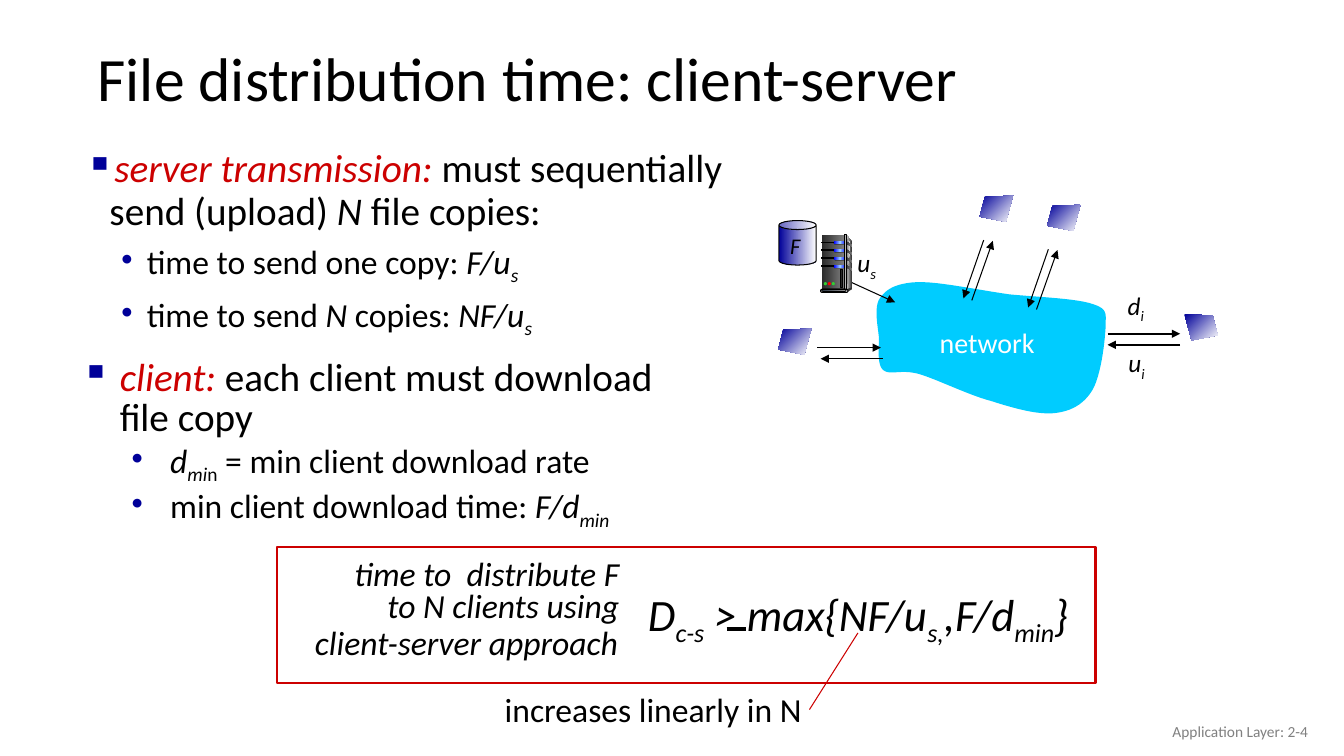
"""Build the slide on file distribution time in the client-server model."""
from dataclasses import dataclass

from lxml import etree
from pptx import Presentation
from pptx.dml.color import RGBColor
from pptx.enum.shapes import MSO_CONNECTOR, MSO_SHAPE
from pptx.enum.text import MSO_ANCHOR, MSO_AUTO_SIZE, PP_ALIGN
from pptx.oxml.ns import qn
from pptx.util import Cm, Pt

BLACK, RED, NAVY = "000000", "CC0000", "000099"
STEEL = ("292929", "808080")
TILE = [(0.84, 0), (0.13, 0.03), (0, 0.53), (0.66, 0.66)]
CLOUD = [
    (4.31, 2.31), (3.76, 2.34), (3.53, 2.49), (3.37, 2.72), (3.22, 2.95), (3.32, 3.4), (3.35, 3.71),
    (3.35, 3.99), (3.3, 4.37), (3.45, 4.52), (3.63, 4.67), (3.88, 4.5), (4.34, 4.62),
    (4.8, 4.75), (5.61, 5.16), (6.19, 5.31), (6.75, 5.49), (7.36, 5.66), (7.79, 5.61),
    (8.2, 5.56), (8.51, 5.39), (8.73, 5.03), (8.94, 4.67), (9.04, 3.86), (9.06, 3.48),
    (9.06, 3.12), (9.14, 3), (8.76, 2.87), (8.35, 2.72), (7.39, 2.69), (6.65, 2.62),
    (5.91, 2.52), (4.85, 2.29), (4.31, 2.31),
]


@dataclass
class Box:
    """An area of the slide in centimetres."""
    left: float
    top: float
    width: float
    height: float

    def area(self, left, top, width, height):
        """Return a box placed relative to this one."""
        return Box(self.left + left, self.top + top, width, height)

    def lengths(self):
        """Return the position and size as lengths."""
        return Cm(self.left), Cm(self.top), Cm(self.width), Cm(self.height)


def color(value):
    """Turn a hex string into a colour."""
    return RGBColor.from_string(value)


def paint(shape, fill=None, line=None, width=0.75, angle=0):
    """Give a shape a solid, gradient or empty fill and an optional outline."""
    shape.shadow.inherit = False
    if fill is None:
        shape.fill.background()
    elif isinstance(fill, str):
        shape.fill.solid()
        shape.fill.fore_color.rgb = color(fill)
    else:
        shape.fill.gradient()
        shape.fill.gradient_angle = 0
        gradient = shape._element.spPr.find(qn("a:gradFill"))
        stops = gradient.find(qn("a:gsLst"))
        for stop in list(stops):
            stops.remove(stop)
        for index, value in enumerate(fill):
            position = round(100000 * index / (len(fill) - 1))
            stop = etree.SubElement(stops, qn("a:gs"), pos=str(position))
            etree.SubElement(stop, qn("a:srgbClr"), val=value)
        gradient.find(qn("a:lin")).set("ang", str(angle * 60000))
    if line:
        shape.line.color.rgb = color(line)
        shape.line.width = Pt(width)
    else:
        shape.line.fill.background()


def add_preset(slide, kind, box, fill=None, line=None, width=0.75, adjustment=None):
    """Add a painted preset shape."""
    shape = slide.shapes.add_shape(kind, *box.lengths())
    if adjustment is not None:
        shape.adjustments[0] = adjustment
    paint(shape, fill, line, width)


def add_outline(slide, box, points, fill, angle=0):
    """Add a closed outline whose points are relative to the box."""
    corners = [(Cm(box.left + x), Cm(box.top + y)) for x, y in points]
    builder = slide.shapes.build_freeform(*corners[0])
    builder.add_line_segments(corners[1:], close=True)
    paint(builder.convert_to_shape(), fill, angle=angle)


def add_line(slide, box, start, end, line=BLACK, width=0.75, arrow=False):
    """Add a line between two points relative to the box."""
    ends = [Cm(length) for x, y in (start, end) for length in (box.left + x, box.top + y)]
    connector = slide.shapes.add_connector(MSO_CONNECTOR.STRAIGHT, *ends)
    connector.line.color.rgb = color(line)
    connector.line.width = Pt(width)
    if arrow:
        etree.SubElement(connector.line._get_or_add_ln(), qn("a:tailEnd"), type="triangle")
    etree.SubElement(connector._element.spPr, qn("a:effectLst"))


def add_runs(paragraph, runs, size, fill=BLACK):
    """Fill a paragraph; styles are i italic, s subscript, r red, + larger."""
    for text, style in runs:
        run = paragraph.add_run()
        run.text = text
        run.font.name = "Calibri"
        run.font.size = Pt(size + 4 if "+" in style else size)
        run.font.italic = "i" in style
        run.font.color.rgb = color(RED if "r" in style else fill)
        if "s" in style:
            run._r.get_or_add_rPr().set("baseline", "-25000")


def add_text(slide, box, lines, size, fill=BLACK, align=PP_ALIGN.LEFT, spacing=None, wrap=True, middle=False):
    """Add a text box with one paragraph per list of runs."""
    frame = slide.shapes.add_textbox(*box.lengths()).text_frame
    frame.word_wrap = wrap
    frame.auto_size = MSO_AUTO_SIZE.NONE if wrap else MSO_AUTO_SIZE.SHAPE_TO_FIT_TEXT
    frame.vertical_anchor = MSO_ANCHOR.MIDDLE if middle else MSO_ANCHOR.TOP
    for index, runs in enumerate(lines):
        paragraph = frame.paragraphs[0] if index == 0 else frame.add_paragraph()
        paragraph.alignment = align
        if spacing:
            paragraph.line_spacing = spacing
        add_runs(paragraph, runs, size, fill)
    return frame


def add_bullets(slide, box, lines, indents, spacings, space_before):
    """Add one main bullet followed by its second-level bullets."""
    frame = add_text(slide, box, [], 28)
    for index, runs in enumerate(lines):
        level = min(index, 1)
        paragraph = frame.add_paragraph() if level else frame.paragraphs[0]
        paragraph.level = level
        paragraph.line_spacing = spacings[level]
        if level:
            paragraph.space_before = Pt(space_before)
        margin, hanging = indents[level]
        properties = paragraph._p.get_or_add_pPr()
        properties.set("marL", str(Cm(margin)))
        properties.set("indent", str(-Cm(hanging)))
        bullet_color = etree.SubElement(properties, qn("a:buClr"))
        etree.SubElement(bullet_color, qn("a:srgbClr"), val=NAVY)
        etree.SubElement(properties, qn("a:buChar"), char="▪•"[level])
        add_runs(paragraph, runs, (28, 24)[level])


def add_server(slide, box):
    """Draw the server tower."""
    add_outline(slide, box, [(0.66, 0), (0.79, 0.18), (0.79, 1.32), (0.64, 1.37)], ("DDDDDD", "333333"))
    add_preset(slide, MSO_SHAPE.RECTANGLE, box.area(0.03, 0, 0.58, 1.37), STEEL)
    add_outline(slide, box, [(0.66, 0.1), (0.76, 0.2), (0.69, 0.75), (0.66, 1.35)], ("808080", "F8F8F8"))
    pill = MSO_SHAPE.ROUNDED_RECTANGLE
    for slot in range(4):
        top = 0.16 + 0.2 * slot
        add_preset(slide, MSO_SHAPE.RECTANGLE, box.area(0.03, top + 0.02, 0.33, 0.02), BLACK, BLACK)
        add_preset(slide, pill, box.area(0.33, top, 0.33, 0.08), BLACK, adjustment=0.5)
        add_preset(slide, pill, box.area(0.34, top, 0.3, 0.07), ("0000FF", "99CCFF", "0000FF"), adjustment=0.5)
        vent = [(0.64, top), (0.79, top + 0.09), (0.79, top + 0.14), (0.64, top + 0.05)]
        add_outline(slide, box, vent, STEEL)
    add_preset(slide, MSO_SHAPE.RECTANGLE, box.area(0.61, 0, 0.05, 1.37), ("333333", "DDDDDD", "333333"), BLACK)
    add_outline(slide, box, [(0.66, 1.37), (0.66, 1.45), (0.79, 1.37), (0.79, 1.32)], "333333")
    add_preset(slide, pill, box.area(0, 1.37, 0.69, 0.08), "DDDDDD", BLACK, adjustment=0.5)
    add_preset(slide, pill, box.area(0.03, 1.37, 0.61, 0.05), ("44546A", "E7E6E6"), BLACK, adjustment=0.5)
    for index, lamp in enumerate(("33CC33", "FF0000", "33CC33")):
        add_preset(slide, MSO_SHAPE.OVAL, box.area(0.08 + 0.1 * index, 1.19, 0.08, 0.08), lamp)
    add_preset(slide, MSO_SHAPE.RECTANGLE, box.area(0.51, 0.86, 0.05, 0.46), "292929", BLACK)


def curve_points(controls, steps=12):
    """Return points along a chain of cubic curves."""
    points = [controls[0]]
    for first in range(0, len(controls) - 1, 3):
        for t in (step / steps for step in range(1, steps + 1)):
            weights = ((1 - t) ** 3, 3 * t * (1 - t) ** 2, 3 * t * t * (1 - t), t ** 3)
            curve = controls[first:first + 4]
            points.append(tuple(sum(w * p[axis] for w, p in zip(weights, curve)) for axis in (0, 1)))
    return points


def add_network(slide, box):
    """Draw the network cloud with its server, clients and links."""
    add_outline(slide, box, curve_points(CLOUD), "00CCFF")
    links = [((2.49, 2.24), (3.76, 2.82), 0.75), ((1.8, 3.96), (3.4, 3.96), 0.75),
             ((3.45, 4.24), (1.88, 4.24), 0.75), ((9.11, 3.61), (10.94, 3.61), 1.5),
             ((10.94, 3.89), (9.11, 3.89), 1.5)]
    for x, y in ((0, 0), (1.63, 0.23)):
        links.append(((5.99 + x, 1.25 + y), (5.48 + x, 2.72 + y), 0.75))
        links.append(((5.69 + x, 2.77 + y), (6.22 + x, 1.27 + y), 0.75))
    for start, end, width in links:
        add_line(slide, box, start, end, width=width, arrow=True)
    add_preset(slide, MSO_SHAPE.CAN, box.area(0.83, 0.76, 0.94, 1.12), (NAVY, "FFFFFF"), BLACK, adjustment=0.24)
    center = PP_ALIGN.CENTER
    add_text(slide, box.area(0.15, 0.92, 2.18, 0.94), [[("F", "i")]], 16, align=center)
    add_text(slide, box.area(4.62, 3.28, 2.92, 1.12), [[("network", "")]], 20, "FFFFFF", center, wrap=False)
    for name, index, left, top in (("u", "s", 2.56, 1.32), ("d", "i", 9.37, 2.39), ("u", "i", 9.39, 3.84)):
        add_text(slide, box.area(left, top, 1.02, 1.02), [[(name, "i"), (index, "is")]], 18, wrap=False)
    add_server(slide, box.area(1.88, 1.12, 0.79, 1.45))
    mirrored = [(0.84 - x, y) for x, y in TILE]
    for left, top, tile in ((0.81, 3.48, TILE), (5.89, 0.13, TILE), (7.59, 0.36, TILE), (11.05, 3.12, mirrored)):
        add_outline(slide, box.area(left, top, 0.84, 0.66), tile, (NAVY, "FFFFFF"), 45)


def add_bound(slide, box):
    """Draw the framed lower bound with its note."""
    add_line(slide, box, (13.41, 4.09), (14.63, 2.16), RED)
    add_text(slide, box.area(5.48, 3.63, 8.08, 1.09), [[("increases linearly in N", "")]], 24, spacing=0.8, wrap=False)
    claim = [[("time to  distribute F ", "i")], [("to N clients using ", "i")],
             [("client-server approach", "i"), (" ", "+")]]
    add_text(slide, box.area(0.6, 0.21, 8.46, 2.87), claim, 24, align=PP_ALIGN.RIGHT, spacing=0.8, wrap=False)
    add_preset(slide, MSO_SHAPE.RECTANGLE, box, line=RED, width=1.5)
    formula = [("D", "i"), ("c-s", "is"), (" > max{NF/u", "i"), ("s,", "is"), (",F/d", "i"), ("min", "is"), ("}", "i")]
    add_text(slide, box.area(9.09, 0.87, 11.81, 1.63), [formula], 32, wrap=False)
    add_line(slide, box, (11.32, 2.06), (11.81, 2.06), width=2.25)


def main():
    """Assemble and save the slide."""
    presentation = Presentation()
    presentation.slide_width, presentation.slide_height = Cm(33.87), Cm(19.05)
    slide = presentation.slides.add_slide(presentation.slide_layouts[6])
    footer = [("Application Layer: 2-4", "")]
    add_text(slide, Box(25.6, 17.91, 7.62, 1.02), [footer], 11, "808080", PP_ALIGN.RIGHT, middle=True)
    title = [("File distribution time: client-server", "")]
    add_text(slide, Box(2.21, 0.81, 29.21, 2.49), [title], 44, spacing=0.9, middle=True)
    server = [
        [("server transmission: ", "ir"), ("must sequentially send (upload) ", ""), ("N ", "i"), ("file copies:", "")],
        [("time to send one copy: ", ""), ("F/u", "i"), ("s", "is")],
        [("time to send ", ""), ("N", "i"), (" copies: ", ""), ("NF/u", "i"), ("s", "is")],
    ]
    add_bullets(slide, Box(1.52, 3.63, 16.94, 5.59), server, ((0.99, 0.61), (1.93, 0.64)), (0.9, 1.0), 5)
    client = [
        [("client: ", "ir"), ("each client must download file copy", "")],
        [("d", "i"), ("mi", "is"), ("n", "s"), (" = min client download rate", "")],
        [("min client download time: ", ""), ("F/d", "i"), ("min", "is")],
    ]
    add_bullets(slide, Box(1.8, 8.94, 16.03, 5.59), client, ((0.97, 0.97), (2.24, 0.97)), (0.85, 0.99), 0)
    add_network(slide, Box(18.8, 4.8, 12.1, 5.7))
    add_bound(slide, Box(6.99, 13.79, 20.62, 3.43))
    presentation.save("out.pptx")


if __name__ == "__main__":
    main()
